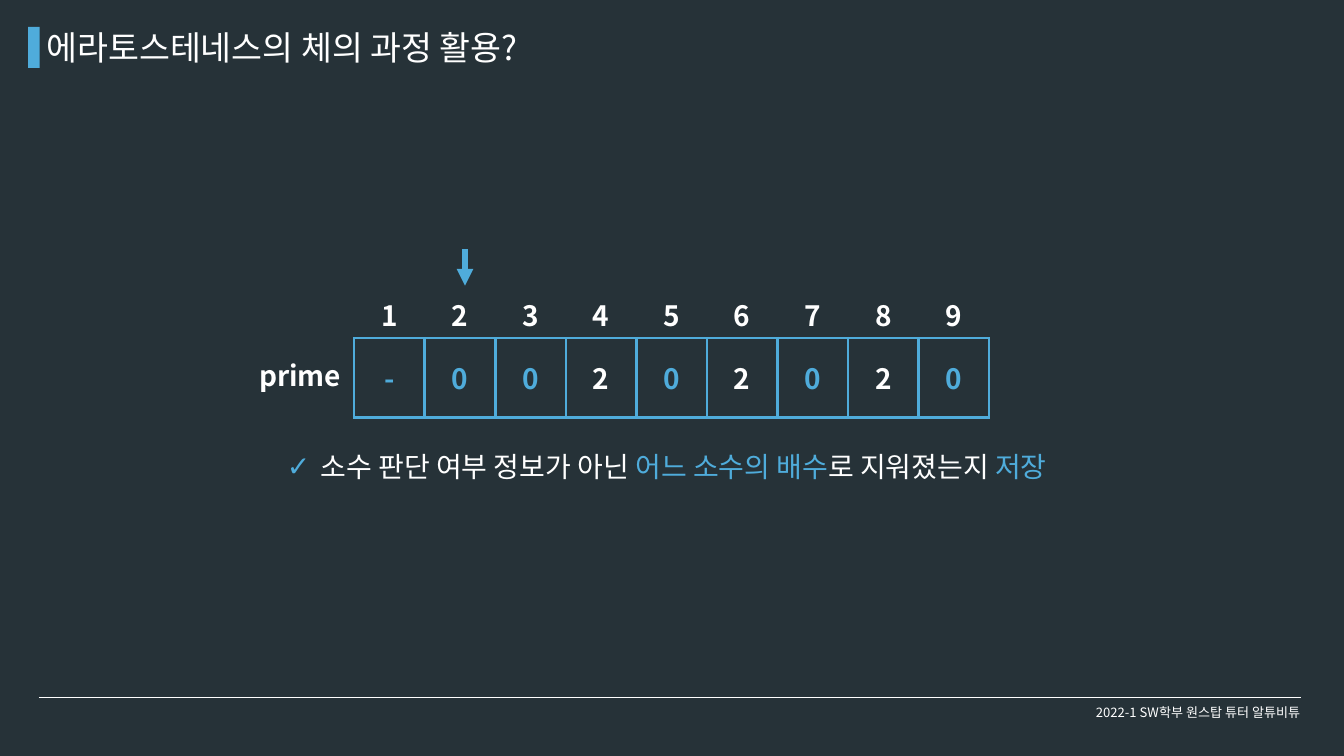
from lxml.etree import SubElement
from pptx import Presentation
from pptx.dml.color import RGBColor
from pptx.enum.shapes import MSO_CONNECTOR, MSO_SHAPE
from pptx.enum.text import MSO_ANCHOR, MSO_AUTO_SIZE, PP_ALIGN
from pptx.oxml import parse_xml
from pptx.oxml.ns import nsdecls, qn
from pptx.util import Inches, Pt

FONT = "Noto Sans CJK KR"
BLUE, WHITE, DARK = "4FACDB", "FFFFFF", "263238"
PLAIN = "{2D5ABB26-0587-4C30-8999-92F81FD0307C}"


def paint(color, code):
    color.rgb = RGBColor.from_string(code)


def place(shape, left, top, width, height):
    shape.left, shape.top = Inches(left), Inches(top)
    shape.width, shape.height = Inches(width), Inches(height)


def style(para, size, code=WHITE, bold=False, align=PP_ALIGN.LEFT):
    para.alignment = align
    font = para.font
    font.name, font.size, font.bold = FONT, Pt(size), bold
    font.fill.solid()
    paint(font.fill.fore_color, code)
    SubElement(font._rPr, qn("a:ea"), typeface=FONT)


def setup(frame, anchor=MSO_ANCHOR.TOP):
    frame.word_wrap = True
    frame.auto_size = MSO_AUTO_SIZE.NONE
    frame.vertical_anchor = anchor


def add_label(slide, text, box, size, anchor=MSO_ANCHOR.TOP, **look):
    shape = slide.shapes.add_textbox(*map(Inches, box))
    setup(shape.text_frame, anchor)
    shape.text_frame.text = text
    style(shape.text_frame.paragraphs[0], size, **look)


def add_line(slide, start, end, code, width, arrow=False):
    line = slide.shapes.add_connector(
        MSO_CONNECTOR.STRAIGHT, *map(Inches, start + end))
    paint(line.line.color, code)
    line.line.width = Pt(width)
    if arrow:
        SubElement(line.line._get_or_add_ln(), qn("a:tailEnd"), type="triangle")
    SubElement(line._element.spPr, qn("a:effectLst"))


def add_header(slide, left, top, text):
    bar = slide.shapes.add_shape(
        MSO_SHAPE.RECTANGLE, *map(Inches, (left, top + 0.05, 0.17, 0.61)))
    bar.shadow.inherit = False
    bar.fill.solid()
    paint(bar.fill.fore_color, BLUE)
    bar.line.fill.background()
    title = slide.shapes.title
    place(title, left + 0.17, top, 9.5, 0.71)
    setup(title.text_frame)
    title.text_frame.text = text
    style(title.text_frame.paragraphs[0], 36)


def add_footer(slide, left, top, width, text):
    add_line(slide, (left, top), (left + width, top), WHITE, 0.75)
    add_label(slide, text, (left + width - 3.53, top - 0.07, 4, 0.57), 14,
              MSO_ANCHOR.MIDDLE, align=PP_ALIGN.CENTER)


def add_border(cell):
    for spot, side in enumerate(("lnL", "lnR", "lnT", "lnB")):
        cell._tc.get_or_add_tcPr().insert(spot, parse_xml(
            f'<a:{side} {nsdecls("a")} w="{Pt(3)}"><a:solidFill>'
            f'<a:srgbClr val="{BLUE}"/></a:solidFill></a:{side}>'))


def add_row(slide, box, items, codes, border=False):
    table = slide.shapes.add_table(1, len(items), *map(Inches, box)).table
    table.first_row = table.horz_banding = False
    table._tbl.tblPr.find(qn("a:tableStyleId")).text = PLAIN
    for cell, item, code in zip(table.iter_cells(), items, codes):
        cell.text = item
        cell.vertical_anchor = MSO_ANCHOR.MIDDLE
        cell.fill.background()
        style(cell.text_frame.paragraphs[0], 30, code, True, PP_ALIGN.CENTER)
        if border:
            add_border(cell)


def add_sieve(slide, left, top, step, height):
    primes = "-00202020"
    width = step * len(primes)
    codes = [WHITE if mark == "2" else BLUE for mark in primes]
    add_row(slide, (left, top, width, height), primes, codes, True)
    add_row(slide, (left, top - 0.95, width, height),
            "123456789", [WHITE] * len(primes))
    add_label(slide, "prime", (left - 1.51, top + 0.26, 1.58, 0.61), 30, bold=True)
    mid = left + 1.65
    add_line(slide, (mid, top - 1.32), (mid, top - 0.78), BLUE, 6, True)


def add_note(slide, box, parts):
    body = slide.placeholders[1]
    place(body, *box)
    setup(body.text_frame)
    para = body.text_frame.paragraphs[0]
    style(para, 30)
    para.space_before = Pt(0)
    for text, code in parts:
        run = para.add_run()
        run.text = text
        paint(run.font.color, code)
    props = para._p.get_or_add_pPr()
    props.set("marL", str(Inches(0.5)))
    props.set("indent", str(-Inches(0.5)))
    mark = parse_xml(f'<a:buChar {nsdecls("a")} char="✓"/>')
    tint = parse_xml(
        f'<a:buClr {nsdecls("a")}><a:srgbClr val="{BLUE}"/></a:buClr>')
    for item in (tint, mark):
        props.find(qn("a:defRPr")).addprevious(item)


def main():
    deck = Presentation()
    deck.slide_width, deck.slide_height = Inches(20), Inches(11.25)
    slide = deck.slides.add_slide(deck.slide_layouts[1])
    slide.background.fill.solid()
    paint(slide.background.fill.fore_color, DARK)
    add_footer(slide, 0.58, 10.38, 18.78, "2022-1 SW학부 원스탑 튜터 알튜비튜")
    add_header(slide, 0.42, 0.35, "에라토스테네스의 체의 과정 활용?")
    add_sieve(slide, 5.27, 5.03, 1.05, 1.18)
    add_note(slide, (4.17, 6.64, 11.67, 0.61), [
        ("소수 판단 여부 정보가 아닌 ", WHITE), ("어느 소수의 배수", BLUE),
        ("로 지워졌는지 ", WHITE), ("저장", BLUE)])
    deck.save("out.pptx")


if __name__ == "__main__":
    main()
